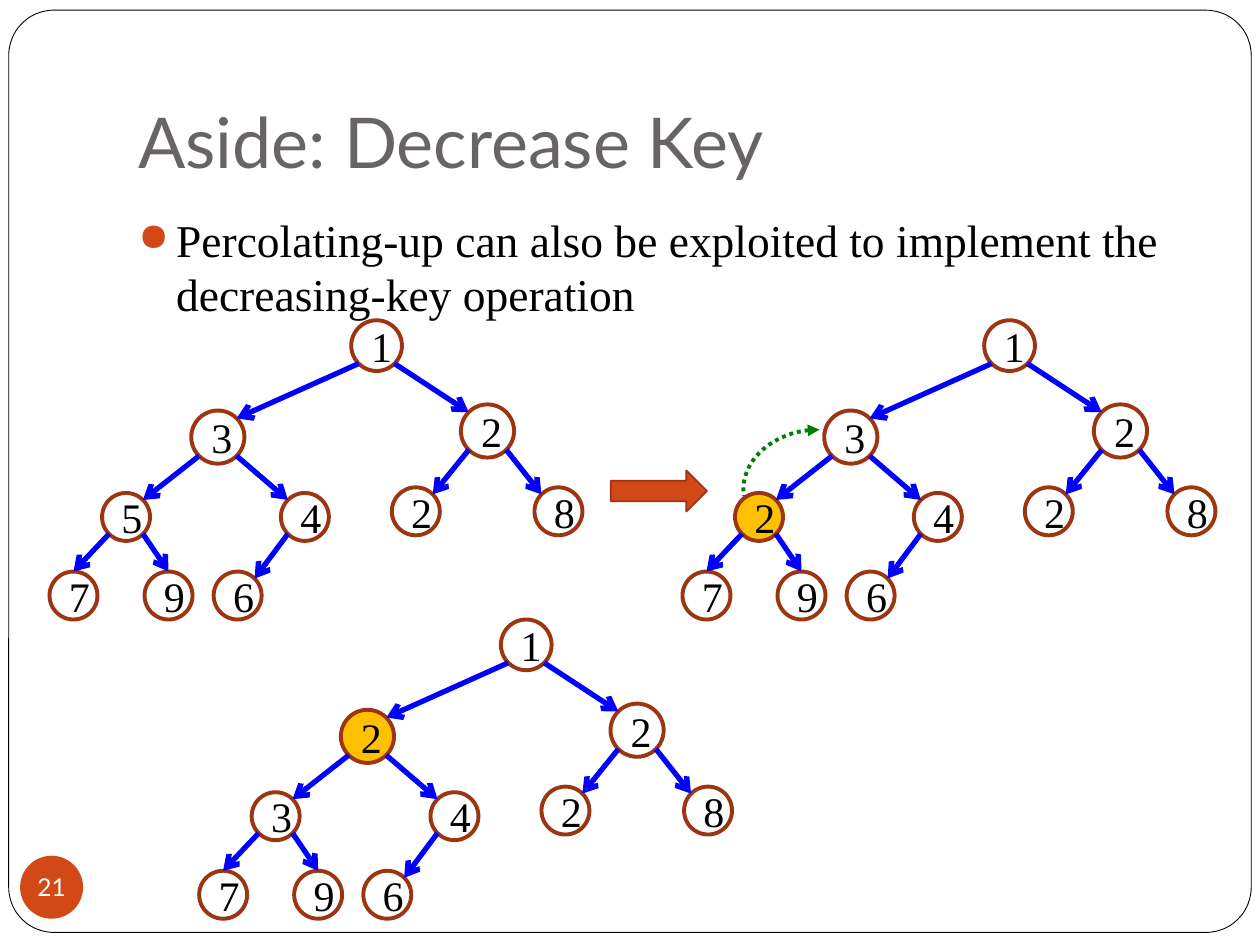
from math import sqrt
from lxml import etree
from pptx import Presentation
from pptx.dml.color import RGBColor
from pptx.enum import dml, shapes as sh, text as tx
from pptx.oxml.ns import qn
from pptx.util import Pt

WHITE = RGBColor(0xFF, 0xFF, 0xFF)
BLACK = RGBColor(0, 0, 0)
GREY = RGBColor(0x69, 0x64, 0x64)
RED = RGBColor(0xD3, 0x48, 0x17)
BROWN = RGBColor(0x9C, 0x35, 0x11)
BLUE = RGBColor(0, 0, 0xFF)
GREEN = RGBColor(0, 0x80, 0)
GOLD = RGBColor(0xFF, 0xC0, 0)
SERIF, SANS = "Times New Roman", "Lato"


def draw(home, kind, box, fill=None, line=None, width=1):
    shape = home.add_shape(kind, *[Pt(v) for v in box])
    shape.shadow.inherit = False
    if fill is None:
        shape.fill.background()
    else:
        shape.fill.solid()
        shape.fill.fore_color.rgb = fill
    if line is None:
        shape.line.fill.background()
    else:
        shape.line.color.rgb = line
        shape.line.width = Pt(width)
    return shape


def write(shape, words, size, face, color, align=tx.PP_ALIGN.CENTER):
    para = shape.text_frame.paragraphs[0]
    para.text = words
    para.alignment = align
    para.font.size, para.font.name = Pt(size), face
    para.font.color.rgb = color


deck = Presentation()
deck.slide_width, deck.slide_height = Pt(720), Pt(540)
slide = deck.slides.add_slide(deck.slide_layouts[6])
items = slide.shapes
kinds = sh.MSO_SHAPE

# Frame
frame = draw(items, kinds.ROUNDED_RECTANGLE, (5, 5.8, 710, 527), WHITE, BLACK, 0.5)
frame.adjustments[0] = 0.049

# Title
title = items.add_textbox(Pt(72), Pt(21.6), Pt(612), Pt(90))
title.text_frame.word_wrap = True
title.text_frame.vertical_anchor = tx.MSO_ANCHOR.BOTTOM
title.text_frame.margin_bottom = Pt(7.2)
write(title, "Aside: Decrease Key", 40, SANS, GREY, tx.PP_ALIGN.LEFT)

# Slide number
badge = draw(items, kinds.OVAL, (11.5, 489, 36, 36), RED)
area = badge.text_frame
area.margin_left = area.margin_right = area.margin_top = area.margin_bottom = 0
area.word_wrap = False
write(badge, "21", 14, SANS, WHITE)

# Bullet text
body = items.add_textbox(Pt(72), Pt(117.5), Pt(612), Pt(356))
body.text_frame.word_wrap = True
props = body.text_frame.paragraphs[0]._p.get_or_add_pPr()
props.set("marL", str(Pt(21.6)))
props.set("indent", str(-Pt(21.6)))
tint = etree.SubElement(props, qn("a:buClr"))
etree.SubElement(tint, qn("a:srgbClr"), val=str(RED))
etree.SubElement(props, qn("a:buSzPct"), val="85000")
etree.SubElement(props, qn("a:buChar"), char="●")
write(body, "Percolating-up can also be exploited to implement the "
      "decreasing-key operation", 26, SERIF, BLACK, tx.PP_ALIGN.LEFT)

# Step arrow
draw(items, kinds.RIGHT_ARROW, (349, 268.8, 55, 23.5), RED, BROWN)

# Heap nodes in level order: centre x, centre y, diameter
nodes = [(215.2, 197.5, 29),
         (124.5, 249.8, 30.4), (278.6, 246.3, 30.4),
         (72, 295.4, 27.4), (174.2, 295.4, 27.4),
         (237.6, 292.2, 27.4), (319.1, 292.2, 27.4),
         (42, 340.3, 27.4), (96.3, 340.3, 27.4), (135.8, 340.3, 27.4)]
# Each heap: x shift, y shift, keys, index of the gold node
heaps = [(0, 0, "1325428796", None),
         (361.7, 0, "1322428796", 3),
         (85.5, 171, "1223428796", 1)]

for dx, dy, keys, gold in heaps:
    group = items.add_group_shape().shapes
    for i, (x, y, d) in enumerate(nodes):
        x, y = x + dx, y + dy
        fill = GOLD if i == gold else None
        node = draw(group, kinds.OVAL, (x - d / 2, y - d / 2, d, d), fill, BROWN, 2.25)
        write(node, keys[i], 24, SERIF, BLACK)
        if i == 0:
            continue
        # Edge from the parent's lower diagonal to the child's rim
        px, py, pd = nodes[(i - 1) // 2]
        side = -1 if i % 2 else 1
        out, rim = pd / sqrt(8), d / sqrt(8)
        end = (x, y - d / 2) if i in (7, 8) else (x - side * rim, y - rim)
        edge = group.add_connector(sh.MSO_CONNECTOR.STRAIGHT,
                                   Pt(px + dx + side * out), Pt(py + dy + out),
                                   Pt(end[0]), Pt(end[1]))
        edge.line.color.rgb = BLUE
        edge.line.width = Pt(3)
        etree.SubElement(edge.line._get_or_add_ln(), qn("a:tailEnd"), type="arrow")
        etree.SubElement(edge._element.spPr, qn("a:effectLst"))

# Dotted arc for the key moving up
arc = draw(items, kinds.ARC, (424.8, 245.5, 87, 68.4), None, GREEN, 2.25)
arc.adjustments[0], arc.adjustments[1] = 162, 2.966
arc._element.spPr.find(qn("a:xfrm")).set("flipH", "1")
arc.line.dash_style = dml.MSO_LINE.ROUND_DOT
etree.SubElement(arc.line._get_or_add_ln(), qn("a:headEnd"), type="triangle")

deck.save("out.pptx")
